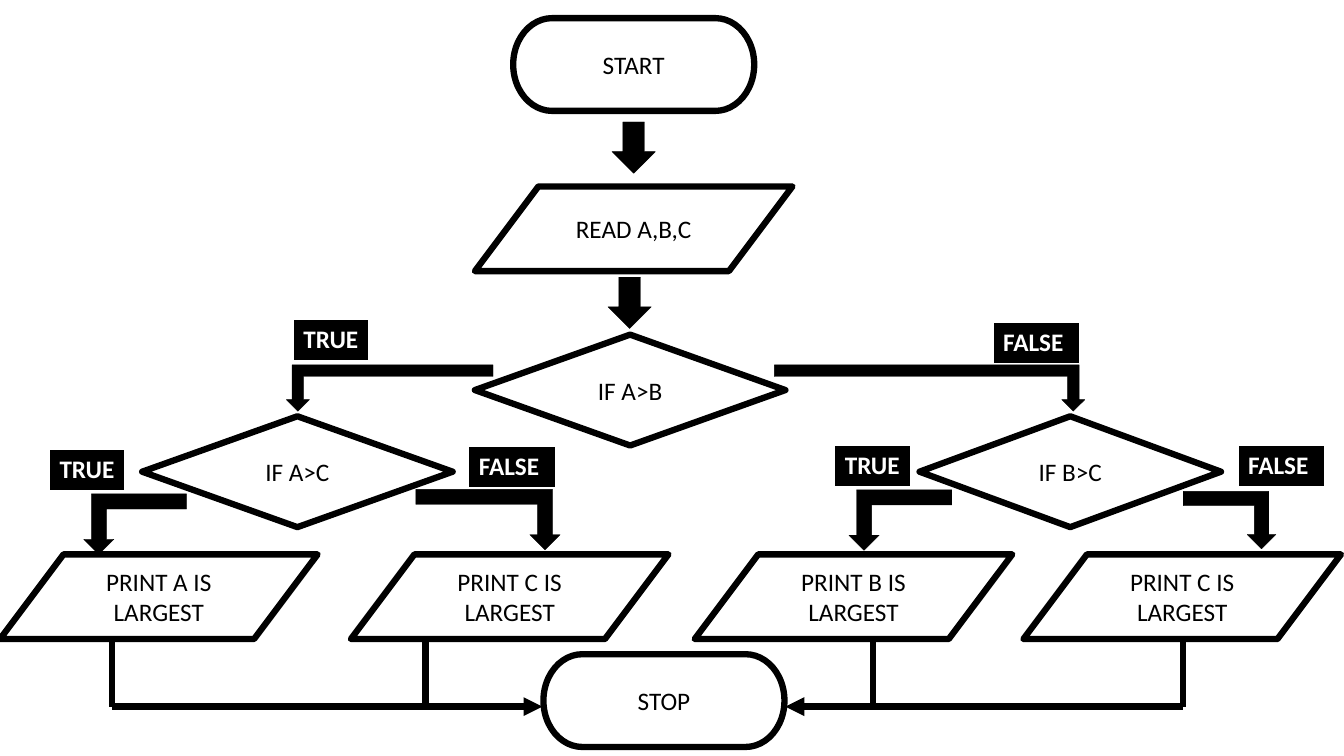
from lxml import etree
from pptx import Presentation
from pptx.dml.color import RGBColor
from pptx.enum.shapes import MSO_CONNECTOR, MSO_SHAPE
from pptx.enum.text import MSO_ANCHOR, PP_ALIGN
from pptx.oxml.ns import qn
from pptx.util import Inches, Pt

COLORS = {name: RGBColor.from_string(value) for name, value in
          {"ink": "000000", "paper": "FFFFFF"}.items()}

prs = Presentation()
prs.slide_width, prs.slide_height = Inches(13.33), Inches(7.5)
slide = prs.slides.add_slide(prs.slide_layouts[6])


def add_block(kind, box, fill, line_width):
    shape = slide.shapes.add_shape(kind, *map(Inches, box))
    shape.shadow.inherit = False
    shape.fill.solid()
    shape.fill.fore_color.rgb = COLORS[fill]
    shape.line.color.rgb = COLORS["ink"]
    shape.line.width = Pt(line_width)
    return shape


def write(frame, text, color, bold):
    paragraph = frame.paragraphs[0]
    run = paragraph.add_run()
    run.text = text
    run.font.name, run.font.size, run.font.bold = "Calibri", Pt(18), bold
    run.font.color.rgb = COLORS[color]
    return paragraph


# Flowchart steps: kind, height, then text with left, top, width
STEPS = [
    (MSO_SHAPE.FLOWCHART_TERMINATOR, 0.92,
     [("START", 5.09, 0.18, 2.39), ("STOP", 5.39, 6.49, 2.39)]),
    (MSO_SHAPE.FLOWCHART_DATA, 0.84,
     [("READ A,B,C", 4.71, 1.85, 3.15),
      ("PRINT A IS LARGEST", 0, 5.5, 3.15),
      ("PRINT C IS LARGEST", 3.48, 5.5, 3.15),
      ("PRINT B IS LARGEST", 6.89, 5.5, 3.15),
      ("PRINT C IS LARGEST", 10.15, 5.5, 3.15)]),
    (MSO_SHAPE.FLOWCHART_DECISION, 1.1,
     [("IF A>B", 4.71, 3.32, 3.08),
      ("IF A>C", 1.41, 4.13, 3.08),
      ("IF B>C", 9.12, 4.13, 2.99)]),
]
for kind, height, steps in STEPS:
    for text, left, top, width in steps:
        step = add_block(kind, (left, top, width, height), "paper", 4.5)
        step.text_frame.word_wrap = True
        step.text_frame.vertical_anchor = MSO_ANCHOR.MIDDLE
        write(step.text_frame, text, "ink", False).alignment = PP_ALIGN.CENTER

# Block arrows: down, to the true branch, to the false branch
ARROWS = [
    (MSO_SHAPE.DOWN_ARROW, 0, [(6.07, 1.21, 0.43, 0.51), (6.03, 2.75, 0.43, 0.51)]),
    (MSO_SHAPE.BENT_UP_ARROW, 180,
     [(2.84, 3.62, 2.05, 0.46), (0.83, 4.9, 1.02, 0.6), (8.42, 4.86, 1.02, 0.6)]),
    (MSO_SHAPE.BENT_ARROW, 90,
     [(8.99, 2.31, 0.46, 3.08), (4.54, 4.44, 0.6, 1.43), (11.91, 4.7, 0.57, 0.92)]),
]
for kind, rotation, boxes in ARROWS:
    for box in boxes:
        arrow = add_block(kind, box, "ink", 0.25)
        arrow.rotation = rotation
        if kind == MSO_SHAPE.BENT_ARROW:
            arrow.adjustments[3] = 0  # square corner

# Lines that gather the four results into STOP
PRINT_BOTTOM, RAIL = 6.34, 7.01
drops = [(x, PRINT_BOTTOM, x, RAIL, False) for x in (1.11, 4.22, 8.66, 11.73)]
rails = [(1.11, RAIL, 5.38, RAIL, True), (11.73, RAIL, 7.79, RAIL, True)]
for *ends, has_head in drops + rails:
    line = slide.shapes.add_connector(MSO_CONNECTOR.STRAIGHT, *map(Inches, ends))
    line.line.color.rgb = COLORS["ink"]
    line.line.width = Pt(4.5)
    if has_head:
        etree.SubElement(line.line._get_or_add_ln(), qn("a:tailEnd"), type="triangle")
    etree.SubElement(line._element.spPr, qn("a:effectLst"))

# Branch labels: one-cell tables
LABEL_WIDTHS = {"TRUE": 0.75, "FALSE": 0.86}
LABELS = [("TRUE", 2.91, 3.17), ("FALSE", 9.85, 3.2), ("TRUE", 0.49, 4.46),
          ("FALSE", 4.65, 4.43), ("TRUE", 8.28, 4.42), ("FALSE", 12.28, 4.42)]
for text, left, top in LABELS:
    box = (left, top, LABEL_WIDTHS[text], 0.4)
    cell = slide.shapes.add_table(1, 1, *map(Inches, box)).table.cell(0, 0)
    cell.fill.solid()
    cell.fill.fore_color.rgb = COLORS["ink"]
    write(cell.text_frame, text, "paper", True)

prs.save("out.pptx")
